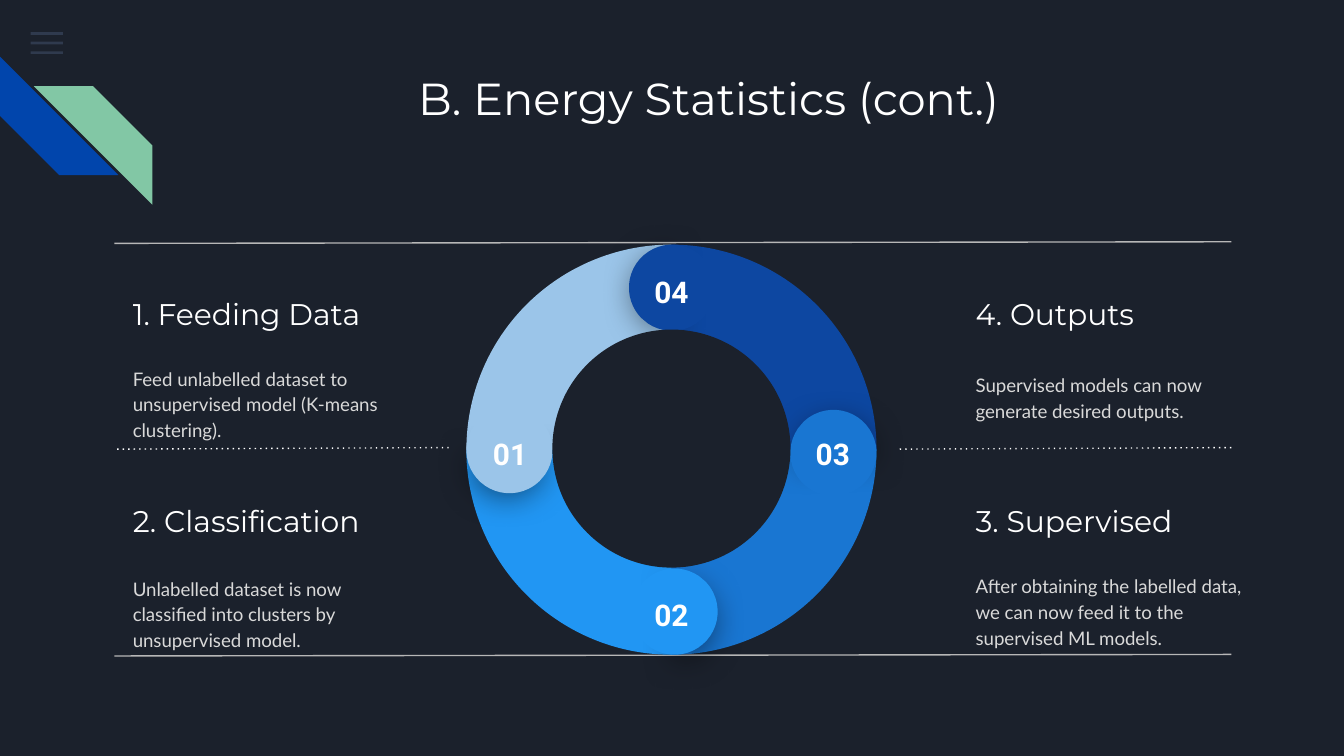
from math import cos, radians, sin

from lxml import etree
from pptx import Presentation
from pptx import util as u
from pptx.dml.color import RGBColor
from pptx.enum import dml, shapes, text
from pptx.oxml.ns import qn

NIGHT = RGBColor(0x1B, 0x21, 0x2C)
WHITE = RGBColor(0xFF, 0xFF, 0xFF)
SILVER = RGBColor(0xD9, 0xD9, 0xD9)
GREY = RGBColor(0xB7, 0xB7, 0xB7)
SLATE = RGBColor(0x55, 0x68, 0x8B)
COBALT = RGBColor(0x01, 0x45, 0xAC)
MINT = RGBColor(0x82, 0xC7, 0xA5)
PALE_BLUE = RGBColor(0x9B, 0xC5, 0xE9)
NAVY = RGBColor(0x0D, 0x47, 0xA1)
MID_BLUE = RGBColor(0x19, 0x76, 0xD2)
SKY_BLUE = RGBColor(0x21, 0x96, 0xF3)

TITLE = {"name": "Montserrat", "size": u.Pt(24)}
HEADING = {"name": "Montserrat", "size": u.Pt(16)}
BODY = {"name": "Lato", "size": u.Pt(10)}
NUMBER = {"name": "Roboto", "size": u.Pt(16), "bold": True}
BODY_SPACING = {"line_spacing": 1.15, "space_after": u.Pt(16)}

RING_X, RING_Y, RING_SIZE, HOLE_SIZE = 12.69, 8.5, 7.75, 4.5
CAP_SIZE, SHADOW_SIZE, LABEL_RADIUS = 1.63, 1.45, 3.05

STEPS = [
    (2.26, 5.31, "1. Feeding Data", 6.65,
     "Feed unlabelled dataset to unsupervised model (K-means clustering)."),
    (2.26, 9.22, "2. Classification", 10.62,
     "Unlabelled dataset is now classified into clusters by unsupervised model."),
    (18.19, 5.31, "4. Outputs", 6.53,
     "Supervised models can now generate desired outputs."),
    (18.19, 9.22, "3. Supervised", 10.57,
     "After obtaining the labelled data, we can now feed it to the supervised ML models."),
]
RULES = [
    (23.27, 2.16, 4.57, GREY, False),
    (8.48, 2.16, 8.46, WHITE, True),
    (23.27, 16.94, 8.46, WHITE, True),
    (23.27, 2.16, 12.37, GREY, False),
]
SEGMENTS = [
    ("01", PALE_BLUE, 9.63, 8.51),
    ("04", NAVY, 12.7, 5.44),
    ("03", MID_BLUE, 15.75, 8.56),
    ("02", SKY_BLUE, 12.75, 11.56),
]


def apply(target, values):
    """Set each named attribute on the target."""
    for name, value in values.items():
        setattr(target, name, value)


def write(shape, words, font, color=WHITE, align=text.PP_ALIGN.LEFT,
          anchor=text.MSO_ANCHOR.MIDDLE, spacing=None):
    """Fill a shape with one formatted paragraph."""
    frame = shape.text_frame
    margins = dict.fromkeys(
        ("margin_left", "margin_right", "margin_top", "margin_bottom"), u.Cm(0.25))
    apply(frame, {"word_wrap": True, "auto_size": text.MSO_AUTO_SIZE.NONE,
                  "vertical_anchor": anchor, **margins})
    paragraph = frame.paragraphs[0]
    apply(paragraph, {"alignment": align, **(spacing or {})})
    run = paragraph.add_run()
    run.text = words
    apply(run.font, font)
    run.font.color.rgb = color


def add_text(slide, x, y, width, height, words, font, **options):
    """Add a text box."""
    box = slide.shapes.add_textbox(u.Cm(x), u.Cm(y), u.Cm(width), u.Cm(height))
    write(box, words, font, **options)


def add_solid(slide, kind, x, y, width, height, color, rotation=0, adjustments=()):
    """Add a plain filled preset shape."""
    shape = slide.shapes.add_shape(kind, u.Cm(x), u.Cm(y), u.Cm(width), u.Cm(height))
    shape.shadow.inherit = False
    shape.fill.solid()
    shape.fill.fore_color.rgb = color
    shape.line.fill.background()
    shape.rotation = rotation
    for index, value in enumerate(adjustments):
        shape.adjustments[index] = value
    return shape


def add_round(slide, kind, x, y, size, color, rotation=0, adjustments=()):
    """Add a filled shape of equal sides around a centre."""
    return add_solid(slide, kind, x - size / 2, y - size / 2, size, size,
                     color, rotation, adjustments)


def set_alpha(color_element, percent):
    """Make a colour partly transparent."""
    etree.SubElement(color_element, qn("a:alpha"), val=str(percent * 1000))


def add_soft_shadow(shape):
    """Give a shape a blurred black shadow below it."""
    effects = shape.element.spPr.find(qn("a:effectLst"))
    shadow = etree.SubElement(
        effects, qn("a:outerShdw"), blurRad=str(u.Pt(18)), dist=str(u.Pt(4)),
        dir="5400000", algn="ctr", rotWithShape="0")
    set_alpha(etree.SubElement(shadow, qn("a:srgbClr"), val="000000"), 55)


def add_rule(slide, start_x, end_x, y, color, dotted):
    """Add a thin, slightly sloping line."""
    line = slide.shapes.add_connector(
        shapes.MSO_CONNECTOR.STRAIGHT,
        u.Cm(start_x), u.Cm(y), u.Cm(end_x), u.Cm(y + 0.03))
    line.line.color.rgb = color
    line.line.width = u.Pt(0.75)
    properties = line.element.spPr
    if dotted:
        line.line.dash_style = dml.MSO_LINE.ROUND_DOT
        next(properties.iter(qn("a:prstDash"))).set("val", "dot")
    etree.SubElement(properties, qn("a:effectLst"))


def add_corner(slide):
    """Add the menu bars and the two diagonal stripes."""
    for row in range(3):
        bar = add_solid(slide, shapes.MSO_SHAPE.RECTANGLE,
                        0.58, 0.61 + 0.18 * row, 0.61, 0.05, SLATE)
        set_alpha(next(bar.element.spPr.iter(qn("a:srgbClr"))), 36)
    stripe = shapes.MSO_SHAPE.DIAGONAL_STRIPE
    add_solid(slide, stripe, 0, 1.07, 2.24, 2.24, COBALT, 270, [0.5])
    mirrored = add_solid(slide, stripe, 0.64, 1.63, 2.24, 2.24, MINT, 0, [0.5])
    mirrored.element.spPr.find(qn("a:xfrm")).set("flipH", "1")


def add_cap(slide, turn, number, color, x, y):
    """Add the rounded, numbered end of a ring segment."""
    angle = radians(180 + turn)
    shade = add_round(slide, shapes.MSO_SHAPE.PIE,
                      x + 0.05 * cos(angle), y + 0.05 * sin(angle),
                      SHADOW_SIZE, color, (39.5 + turn) % 360, [189.54, 83.81])
    add_soft_shadow(shade)
    add_round(slide, shapes.MSO_SHAPE.CHORD, x, y, CAP_SIZE, color,
              4.1 + turn, [25.01, 18.12])
    add_text(slide, RING_X + LABEL_RADIUS * cos(angle) - 0.71,
             RING_Y + LABEL_RADIUS * sin(angle) - 0.52, 1.42, 0.74, number, NUMBER,
             align=text.PP_ALIGN.CENTER, anchor=text.MSO_ANCHOR.TOP)


def add_ring(slide):
    """Add the four-part ring with its caps and hole."""
    for index, (_, color, _, _) in enumerate(SEGMENTS):
        add_round(slide, shapes.MSO_SHAPE.PIE, RING_X, RING_Y, RING_SIZE, color,
                  90 * index, [107.96, 162.01])
    for index, segment in enumerate(SEGMENTS):
        add_cap(slide, 90 * index, *segment)
    add_round(slide, shapes.MSO_SHAPE.OVAL, RING_X, RING_Y - 0.02, HOLE_SIZE, NIGHT)


def main():
    """Build and save the slide."""
    presentation = Presentation()
    apply(presentation, {"slide_width": u.Cm(25.4), "slide_height": u.Cm(14.29)})
    slide = presentation.slides.add_slide(presentation.slide_layouts[5])
    slide.background.fill.solid()
    slide.background.fill.fore_color.rgb = NIGHT
    add_corner(slide)
    title = slide.shapes.title
    apply(title, {"left": u.Cm(3.61), "top": u.Cm(1.09),
                  "width": u.Cm(19.56), "height": u.Cm(2.54)})
    write(title, "B. Energy Statistics (cont.)", TITLE,
          align=text.PP_ALIGN.CENTER, anchor=text.MSO_ANCHOR.TOP)
    for x, heading_y, heading, body_y, body in STEPS:
        add_text(slide, x, heading_y, 5.16, 1.24, heading, HEADING)
        add_text(slide, x, body_y, 5.54, 1.93, body, BODY,
                 color=SILVER, spacing=BODY_SPACING)
    for rule in RULES:
        add_rule(slide, *rule)
    add_ring(slide)
    presentation.save("out.pptx")


if __name__ == "__main__":
    main()
